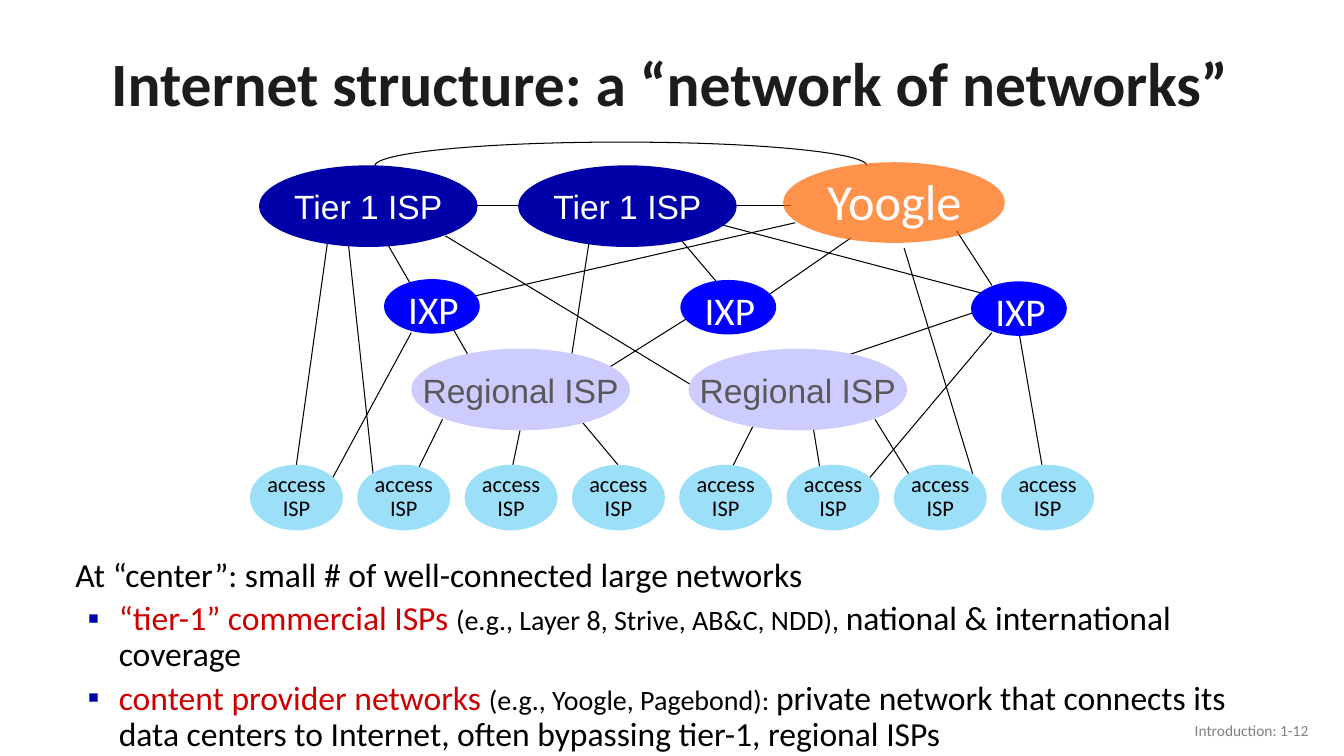
import pptx
import pptx.dml.color
import pptx.enum.shapes
import pptx.enum.text
import pptx.oxml
import pptx.oxml.ns
import pptx.util
from lxml import etree

Pt = pptx.util.Pt
RGB = pptx.dml.color.RGBColor.from_string
ALIGN = pptx.enum.text.PP_ALIGN
ANCHOR = pptx.enum.text.MSO_ANCHOR
SHAPE = pptx.enum.shapes.MSO_SHAPE
qn = pptx.oxml.ns.qn

COLORS = {
    "title": "1C1C1C", "footer": "808080", "black": "000000", "white": "FFFFFF",
    "tier": "0000A8", "regional": "CCCCFF", "regional_text": "595959",
    "access": "9CDFF9", "ixp": "0000FF", "content": "FF6600", "term": "CC0000",
}

deck = pptx.Presentation()
deck.slide_width, deck.slide_height = Pt(960), Pt(540)
slide = deck.slides.add_slide(deck.slide_layouts[6])


def write(frame, text, size, color, font="Calibri", align=ALIGN.LEFT,
          anchor=ANCHOR.TOP, spacing=1.0, bold=False, wrap=False):
    frame.text = text
    frame.word_wrap = wrap
    frame.vertical_anchor = anchor
    for paragraph in frame.paragraphs:
        paragraph.alignment = align
        paragraph.line_spacing = spacing
        for run in paragraph.runs:
            run.font.size = Pt(size)
            run.font.name = font
            run.font.bold = bold
            run.font.color.rgb = RGB(COLORS[color])


def add_ellipse(left, top, width, height, fill):
    ellipse = slide.shapes.add_shape(
        SHAPE.OVAL, Pt(left), Pt(top), Pt(width), Pt(height))
    ellipse.shadow.inherit = False
    ellipse.fill.solid()
    ellipse.fill.fore_color.rgb = RGB(COLORS[fill])
    ellipse.line.fill.background()
    return ellipse


title = slide.shapes.add_textbox(Pt(64.8), Pt(26.6), Pt(828), Pt(70.6))
write(title.text_frame, "Internet structure: a “network of networks”", 44, "title",
      align=ALIGN.CENTER, anchor=ANCHOR.MIDDLE, spacing=0.9, bold=True, wrap=True)

footer = slide.shapes.add_textbox(Pt(725.8), Pt(507.6), Pt(216), Pt(28.8))
write(footer.text_frame, "Introduction: 1-12", 11, "footer",
      align=ALIGN.RIGHT, anchor=ANCHOR.MIDDLE, wrap=True)

links = [
    (236.2, 157, 211.7, 332), (371.5, 307.4, 363.6, 344.9),
    (316.1, 299.5, 293.8, 344.9), (248.4, 170, 267.8, 350.6),
    (293.8, 237.6, 232.6, 350.6), (408.2, 292.3, 441.4, 332),
    (540, 300.2, 517, 345.6), (581, 306, 587.5, 345.6),
    (625, 299.5, 657.4, 352), (645.8, 177.1, 694.8, 338.4),
    (380.2, 146.9, 338.4, 146.9), (565.2, 146.9, 523.4, 146.9),
    (683.3, 164.9, 708.5, 203.8), (274.3, 170, 293.8, 203.8),
    (319, 226.8, 338.4, 260.6), (568.1, 159.1, 319, 216),
    (485.3, 170, 517, 207.4), (421.2, 170, 408.2, 254.9),
    (491.8, 226.8, 427.7, 267.1), (318.2, 168.5, 497.5, 277.2),
    (727.9, 237.6, 746.6, 345.6), (708.5, 237.6, 612.7, 351.4),
    (702, 221, 599.8, 255.6), (607.7, 170, 542.2, 215.3),
    (512.6, 159.8, 704.2, 210.2),
]
for x1, y1, x2, y2 in links:
    link = slide.shapes.add_connector(
        pptx.enum.shapes.MSO_CONNECTOR.STRAIGHT, Pt(x1), Pt(y1), Pt(x2), Pt(y2))
    link.line.color.rgb = RGB(COLORS["black"])
    link.line.width = Pt(0.75)
    etree.SubElement(link._element.spPr, qn("a:effectLst"))

bypass = slide.shapes.add_shape(SHAPE.ARC, Pt(267.8), Pt(101.5), Pt(351.4), Pt(33.8))
bypass.adjustments[0] = 106.82
bypass.adjustments[1] = 0
bypass.shadow.inherit = False
bypass.fill.background()
bypass.line.color.rgb = RGB(COLORS["black"])
bypass.line.width = Pt(0.75)

for name, left, top, fill, color in [
    ("Tier 1 ISP", 185, 118.1, "tier", "white"),
    ("Tier 1 ISP", 370.1, 118.1, "tier", "white"),
    ("Regional ISP", 293.8, 249.1, "regional", "regional_text"),
    ("Regional ISP", 491.8, 249.1, "regional", "regional_text"),
]:
    provider = add_ellipse(left, top, 156.2, 58.3, fill)
    write(provider.text_frame, name, 24, color, font="Arial",
          align=ALIGN.CENTER, anchor=ANCHOR.MIDDLE)

for column in range(8):
    access = add_ellipse(178.6 + 76.65 * column, 332, 66.4, 46.8, "access")
    write(access.text_frame, "access\nISP", 16, "black",
          align=ALIGN.CENTER, anchor=ANCHOR.MIDDLE, spacing=0.9)

for left, top in [(274.3, 199.4), (486, 200), (693.6, 201)]:
    add_ellipse(left, top, 68.4, 38.9, "ixp")
    exchange = slide.shapes.add_textbox(Pt(left + 10.2), Pt(top + 0.7), Pt(51.1), Pt(38.9))
    write(exchange.text_frame, "IXP", 28, "white")

content_provider = add_ellipse(559.4, 115.9, 158.4, 57.6, "content")
content_color = content_provider._element.spPr.find(".//" + qn("a:srgbClr"))
etree.SubElement(content_color, qn("a:alpha"), val="70000")
content_name = slide.shapes.add_textbox(Pt(583.9), Pt(118.1), Pt(119.5), Pt(51.1))
write(content_name.text_frame, "Yoogle", 36, "white")

summary = slide.shapes.add_textbox(Pt(41.8), Pt(395.3), Pt(888.5), Pt(144))
summary_frame = summary.text_frame
write(summary_frame, "At “center”: small # of well-connected large networks",
      24, "black", spacing=0.9, wrap=True)
summary_frame.paragraphs[0].space_before = Pt(10)
summary_frame.paragraphs[0]._p.get_or_add_pPr().set("marL", str(Pt(5)))

for term, examples, description in [
    ("“tier-1” commercial ISPs ", "(e.g., Layer 8, Strive, AB&C, NDD), ",
     "national & international coverage"),
    ("content provider networks ", "(e.g., Yoogle, Pagebond): ",
     "private network that connects its data centers to Internet, "
     "often bypassing tier-1, regional ISPs"),
]:
    point = summary_frame.add_paragraph()
    point.level = 1
    point.line_spacing = 0.9
    point.space_before = Pt(5)
    properties = point._p.get_or_add_pPr()
    properties.set("marL", str(Pt(36)))
    properties.set("indent", str(-Pt(22.3)))
    bullet_color = etree.SubElement(properties, qn("a:buClr"))
    etree.SubElement(bullet_color, qn("a:srgbClr"), val=COLORS["tier"])
    etree.SubElement(properties, qn("a:buFont"), typeface="Arial")
    etree.SubElement(properties, qn("a:buChar"), char="▪")
    for text, size, color in [(term, 24, "term"), (examples, 20, "black"),
                              (description, 24, "black")]:
        run = point.add_run()
        run.text = text
        run.font.size = Pt(size)
        run.font.name = "Calibri"
        run.font.color.rgb = RGB(COLORS[color])

deck.save("out.pptx")
